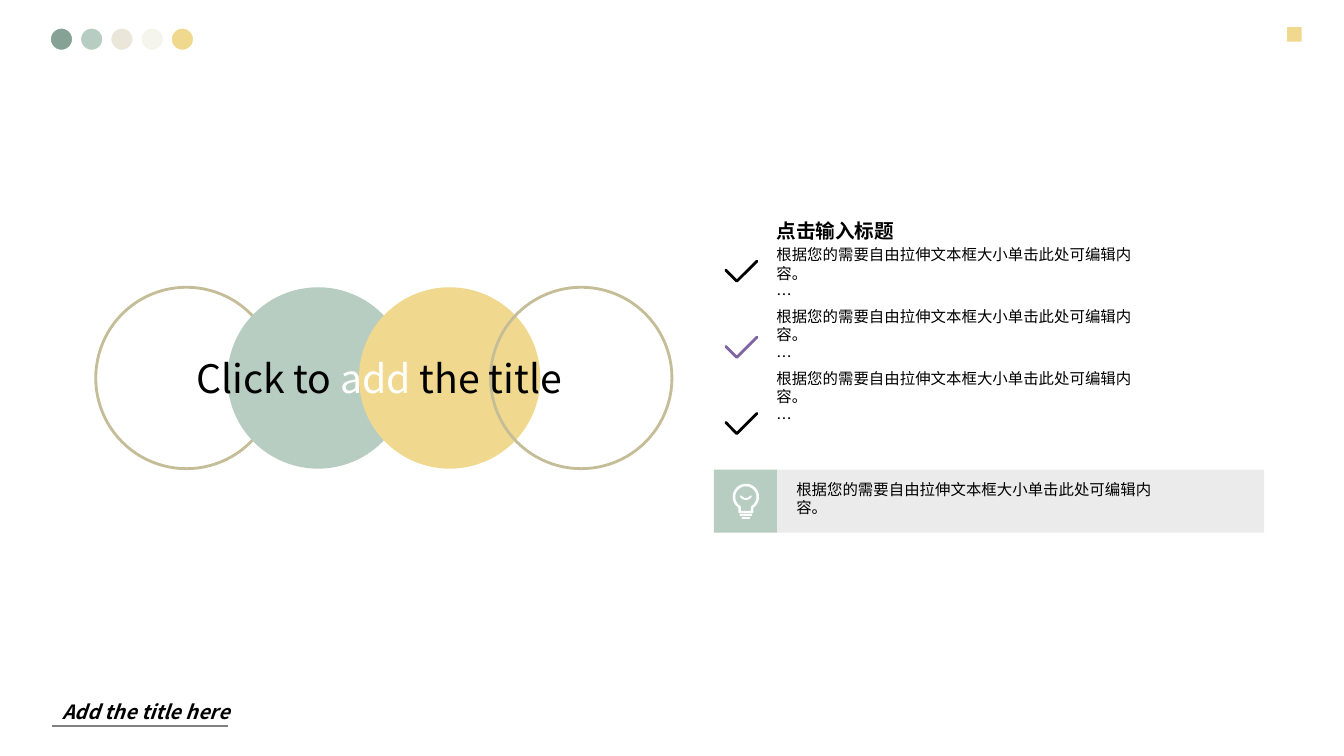
from math import cos, radians, sin

from lxml.etree import SubElement
from pptx import Presentation
from pptx.dml.color import RGBColor
from pptx.enum.shapes import MSO_CONNECTOR, MSO_SHAPE
from pptx.enum.text import MSO_ANCHOR, MSO_AUTO_SIZE, PP_ALIGN
from pptx.oxml.ns import qn
from pptx.util import Pt

FONT = "Noto Sans CJK SC"
COLORS = {
    "black": "000000", "white": "FFFFFF", "grey": "808080", "panel": "D9D9D9",
    "forest": "86A296", "sage": "B7CDC1", "sand": "EAE6DA", "ivory": "F5F5ED",
    "yellow": "F0D98E", "khaki": "C4BD97", "purple": "8064A2",
}
BODY = "根据您的需要自由拉伸文本框大小单击此处可编辑内容。"


def color(name):
    return RGBColor.from_string(COLORS[name])


def arc(x, y, radius, start, end, step):
    """Points on a circle, with angles in degrees clockwise from the right."""
    return [(x + radius * cos(radians(angle)), y + radius * sin(radians(angle)))
            for angle in range(start, end + 1, step)]


def write(para, text, size=11, tint="black", bold=False, italic=False):
    span = para.add_run()
    span.text = text
    font = span.font
    font.size, font.bold, font.italic = Pt(size), bold, italic
    font.color.rgb = color(tint)
    font.name = FONT
    SubElement(font._element, qn("a:ea"), typeface=FONT)


class Page:
    def __init__(self, deck):
        self.slide = deck.slides.add_slide(deck.slide_layouts[5])
        self.shapes = self.slide.shapes

    def paint(self, shape, fill=None, line=None, width=2):
        shape.shadow.inherit = False
        if fill:
            shape.fill.solid()
            shape.fill.fore_color.rgb = color(fill)
        else:
            shape.fill.background()
        if line:
            shape.line.color.rgb = color(line)
            shape.line.width = Pt(width)
        else:
            shape.line.fill.background()
        return shape

    def shape(self, kind, left, top, width, height, **style):
        shape = self.shapes.add_shape(kind, Pt(left), Pt(top), Pt(width), Pt(height))
        return self.paint(shape, **style)

    def stroke(self, points, tint, width=2, close=False):
        """Draw an unfilled outline with round ends through the points."""
        corners = [(Pt(x), Pt(y)) for x, y in points]
        builder = self.shapes.build_freeform(*corners[0])
        builder.add_line_segments(corners[1:], close=close)
        shape = self.paint(builder.convert_to_shape(), line=tint, width=width)
        shape.line._get_or_add_ln().set("cap", "rnd")

    def line(self, x1, x2, y, tint, width):
        line = self.shapes.add_connector(
            MSO_CONNECTOR.STRAIGHT, Pt(x1), Pt(y), Pt(x2), Pt(y))
        line.line.color.rgb = color(tint)
        line.line.width = Pt(width)
        SubElement(line._element.spPr, qn("a:effectLst"))

    def frame(self, box, left, top, width, height, inset=True, anchor=MSO_ANCHOR.TOP):
        box.left, box.top, box.width, box.height = Pt(left), Pt(top), Pt(width), Pt(height)
        frame = box.text_frame
        frame.word_wrap = True
        frame.auto_size = MSO_AUTO_SIZE.SHAPE_TO_FIT_TEXT
        frame.vertical_anchor = anchor
        if not inset:
            frame.margin_left = frame.margin_top = 0
            frame.margin_right = frame.margin_bottom = 0
        return frame

    def text(self, left, top, width, height, **style):
        box = self.shapes.add_textbox(0, 0, 0, 0)
        return self.frame(box, left, top, width, height, **style)

    def title(self, left, top, width, height, spans):
        """Place the title above all shapes drawn so far."""
        box = self.shapes.title
        self.shapes._spTree.append(box._element)
        frame = self.frame(box, left, top, width, height, anchor=MSO_ANCHOR.MIDDLE)
        para = frame.paragraphs[0]
        para.alignment = PP_ALIGN.LEFT
        for text, tint in spans:
            write(para, text, size=28, tint=tint)

    def bulb(self, x, y):
        neck = [(x + 4.5, y + 10.8), (x - 4.5, y + 10.8)]
        self.stroke(arc(x, y, 8.5, 122, 418, 8) + neck, "white", 1.8, close=True)
        self.stroke(arc(x, y - 3, 4.4, 35, 145, 10), "white", 1.4)
        for half, drop in ((4, 13), (2.5, 15.1)):
            self.stroke([(x - half, y + drop), (x + half, y + drop)], "white", 1.4)


def main():
    deck = Presentation()
    deck.slide_width, deck.slide_height = Pt(960), Pt(540)
    page = Page(deck)

    for i, tint in enumerate(("forest", "sage", "sand", "ivory", "yellow")):
        page.shape(MSO_SHAPE.OVAL, 35.3 + 21.6 * i, 19.4, 17.2, 17.2,
                   fill=tint, line="white")
    page.shape(MSO_SHAPE.RECTANGLE, 919.4, 19.4, 10.4, 10.4, fill="yellow")
    page.line(37.4, 162.7, 518.4, "grey", 1.5)
    footer = page.text(37.4, 496, 172, 24.5, anchor=MSO_ANCHOR.MIDDLE)
    write(footer.paragraphs[0], "Add the title here", size=14, bold=True, italic=True)

    rings = ({"line": "khaki"}, {"fill": "sage"}, {"fill": "yellow"}, {"line": "khaki"})
    for i, style in enumerate(rings):
        page.shape(MSO_SHAPE.OVAL, 68.4 + 94 * i, 205.2, 129.6, 129.6, **style)
    page.title(133.2, 249.1, 334.8, 41, [
        ("Click to ", "black"), ("add ", "white"), ("the title", "black")])

    page.shape(MSO_SHAPE.RECTANGLE, 510, 335.5, 45, 45, fill="sage")
    panel = page.shape(MSO_SHAPE.RECTANGLE, 555, 335.5, 348, 45, fill="panel")
    tone = panel.fill._xPr.find(qn("a:solidFill"))[0]
    SubElement(tone, qn("a:alpha"), val="50000")

    for i, tint in enumerate(("black", "purple", "black")):
        y = 186.5 + 54.4 * i
        page.stroke([(518.4, y + 6.5), (526.3, y + 14.4), (540.7, y)], tint)
    page.bulb(532.8, 355)

    points = page.text(554.6, 156.2, 254.2, 179.3, inset=False)
    write(points.paragraphs[0], "点击输入标题", size=14, bold=True)
    for text in (BODY, "…") * 3:
        para = points.add_paragraph()
        para.space_before = Pt(2.2)
        write(para, text)
    note = page.text(568.8, 342.7, 254.2, 31, inset=False)
    write(note.paragraphs[0], BODY)

    deck.save("out.pptx")


if __name__ == "__main__":
    main()
